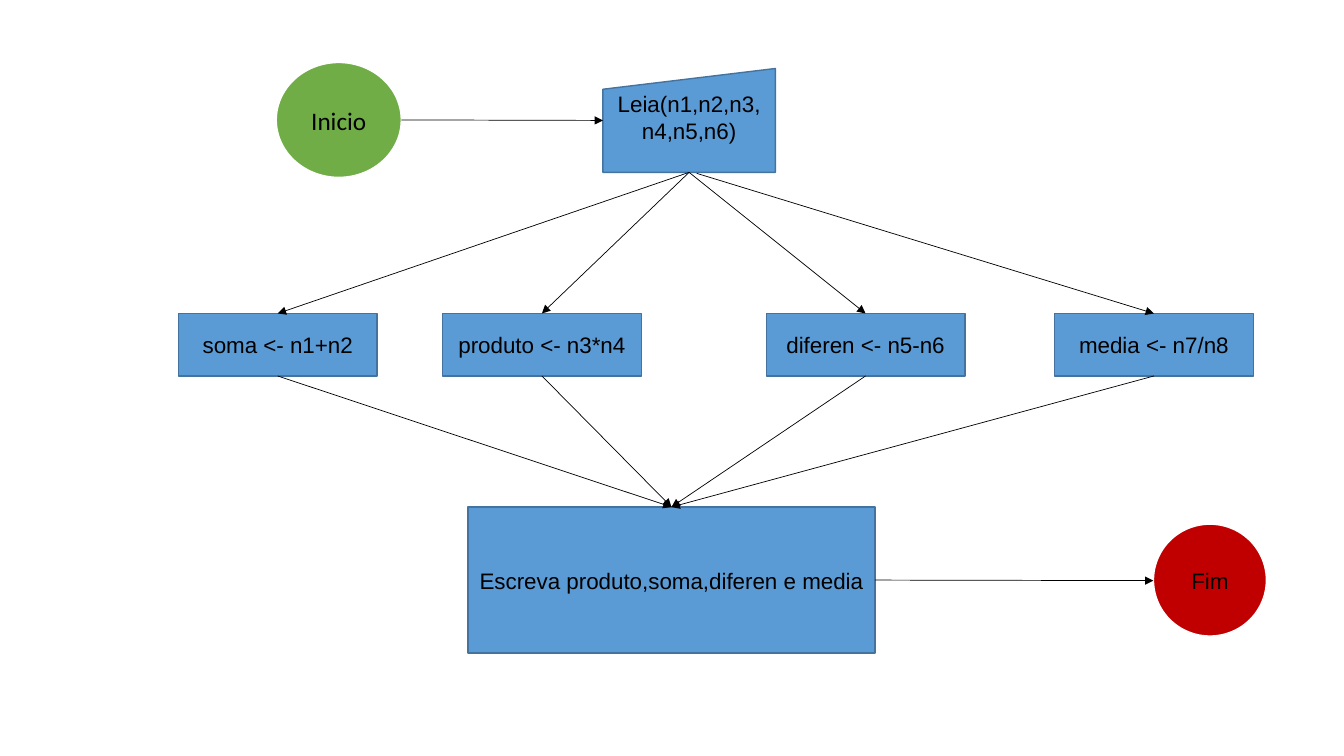
from dataclasses import dataclass
from pptx import Presentation
from pptx.dml.color import RGBColor as Rgb
from pptx.enum.shapes import MSO_CONNECTOR as Wire, MSO_SHAPE as Kind
from pptx.enum.text import MSO_ANCHOR as Anchor, PP_ALIGN as Align
from pptx.oxml.ns import qn
from pptx.util import Inches, Pt
from lxml.etree import SubElement as Sub

TOP, LEFT, BOTTOM, RIGHT = range(4)


@dataclass
class Theme:
    blue: str = "5B9BD5"
    edge: str = "43739E"
    green: str = "70AD47"
    red: str = "C00000"
    white: str = "FFFFFF"
    ink: str = "000000"
    font: str = "Arial"
    start_font: str = "Calibri"
    size: int = 16
    start_size: int = 18
    border: float = 1
    thin: float = 0.5


class Chart:
    def __init__(self, slide, theme):
        self.slide = slide
        self.theme = theme

    def node(self, kind, box, text, fill, edge, font=None, size=None):
        shape = self.slide.shapes.add_shape(kind, *map(Inches, box))
        shape.shadow.inherit = False
        shape.fill.solid()
        shape.fill.fore_color.rgb = Rgb.from_string(fill)
        shape.line.color.rgb = Rgb.from_string(edge)
        shape.line.width = Pt(self.theme.border)
        frame = shape.text_frame
        frame.word_wrap = True
        frame.vertical_anchor = Anchor.MIDDLE
        para = frame.paragraphs[0]
        para.text = text
        para.alignment = Align.CENTER
        para.font.name = font or self.theme.font
        para.font.size = Pt(size or self.theme.size)
        para.font.color.rgb = Rgb.from_string(self.theme.ink)
        return shape

    def step(self, box, text, kind=Kind.FLOWCHART_PROCESS):
        return self.node(kind, box, text, self.theme.blue, self.theme.edge)

    def disc(self, box, text, fill, font=None, size=None):
        return self.node(Kind.FLOWCHART_CONNECTOR, box, text, fill,
                         self.theme.white, font, size)

    def arrow(self, start, end, tail=None, head=None):
        ends = map(Inches, (*start, *end))
        line = self.slide.shapes.add_connector(Wire.STRAIGHT, *ends)
        if tail:
            line.begin_connect(*tail)
        if head:
            line.end_connect(*head)
        line.line.color.rgb = Rgb.from_string(self.theme.ink)
        line.line.width = Pt(self.theme.thin)
        Sub(line.line._get_or_add_ln(), qn("a:tailEnd"), type="triangle")
        Sub(line._element.spPr, qn("a:effectLst"))


def main():
    deck = Presentation()
    deck.slide_width = Inches(13.33)
    deck.slide_height = Inches(7.5)
    theme = Theme()
    chart = Chart(deck.slides.add_slide(deck.slide_layouts[6]), theme)

    chart.disc((2.74, 0.62, 1.24, 1.14), "Inicio", theme.green,
               theme.start_font, theme.start_size)
    chart.disc((11.44, 5.2, 1.12, 1.11), "Fim", theme.red)
    read = chart.step((5.98, 0.68, 1.71, 1.03), "Leia(n1,n2,n3,n4,n5,n6)",
                      Kind.FLOWCHART_MANUAL_INPUT)
    read.text_frame.margin_bottom = Inches(0.32)
    write = chart.step((4.64, 5.03, 4.04, 1.45),
                       "Escreva produto,soma,diferen e media")

    steps = [
        (1.77, "soma <- n1+n2"),
        (4.39, "produto <- n3*n4"),
        (7.6, "diferen <- n5-n6"),
        (10.46, "media <- n7/n8"),
    ]
    source, target = (6.84, 1.71), (6.66, 5.03)
    for left, text in steps:
        box = chart.step((left, 3.11, 1.97, 0.62), text)
        mid = left + 0.985
        last = text.startswith("media")
        begin = (6.91, 1.72) if last else source
        join = None if last else (read, BOTTOM)
        chart.arrow(begin, (mid, 3.11), join, (box, TOP))
        chart.arrow((mid, 3.73), target, (box, BOTTOM), (write, TOP))

    chart.arrow((3.98, 1.19), (5.98, 1.19), head=(read, LEFT))
    chart.arrow((8.68, 5.76), (11.44, 5.76), tail=(write, RIGHT))
    deck.save("out.pptx")


if __name__ == "__main__":
    main()
